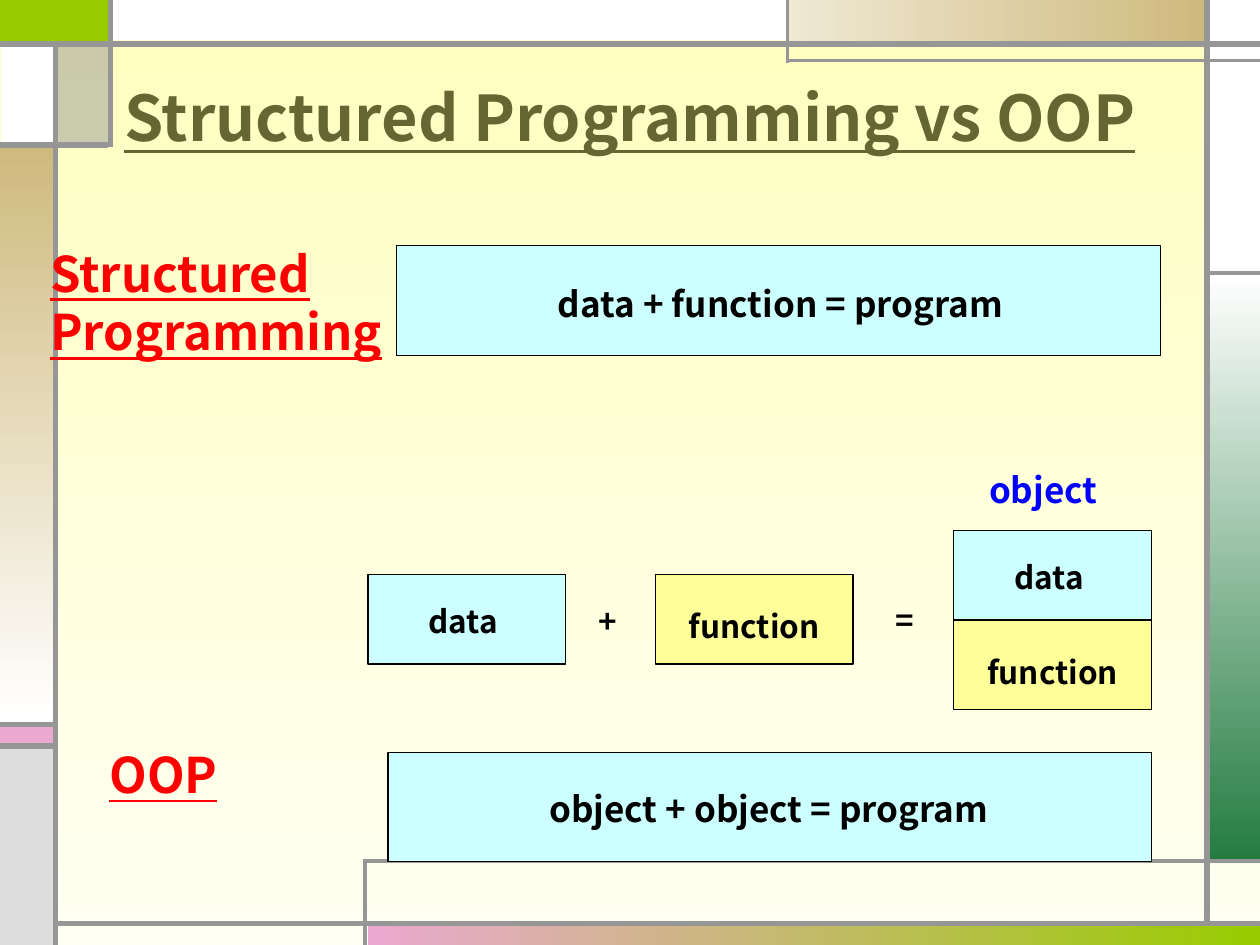
import pptx
import pptx.dml.color
import pptx.enum.shapes
import pptx.enum.text
import pptx.oxml
import pptx.oxml.ns
import pptx.util

Inches = pptx.util.Inches
Pt = pptx.util.Pt
ALIGN = pptx.enum.text.PP_ALIGN
ANCHOR = pptx.enum.text.MSO_ANCHOR
AUTO_SIZE = pptx.enum.text.MSO_AUTO_SIZE

COLORS = {
    "green": "99CC00", "forest": "247C41", "pink": "EBA9D0", "sand": "CFBA7D",
    "pale_sand": "EFE8D3", "white": "FFFFFF", "silver": "DDDDDD", "gray": "969696",
    "cream": "FFFFBF", "ivory": "FFFFF2", "olive": "666633", "red": "FF0000",
    "blue": "0000FF", "black": "000000", "cyan": "CCFFFF", "yellow": "FFFF99",
}
FONT = "Noto Sans CJK KR"
TITLE = {"size": Pt(36), "bold": True, "underline": True}
HEADING = {"size": Pt(28), "bold": True, "underline": True}
FORMULA = {"size": Pt(20), "bold": True}
PART = {"size": Pt(18), "bold": True}

# Background panels: left, top, width, height, colour (or two colours and an angle)
PANELS = [
    (0, 0, 0.87, 0.34, "green"),
    (2.92, 7.33, 7.08, 0.17, ("pink", "green", 0)),
    (9.58, 2.17, 0.42, 4.67, ("white", "forest", 90)),
    (0, 5.75, 0.42, 0.17, "pink"),
    (0, 5.93, 0.42, 1.57, "silver"),
    (9.58, 0, 0.42, 2.17, "white"),
    (6.25, 0, 3.33, 0.33, ("pale_sand", "sand", 0)),
    (0.46, 0.33, 0.42, 0.82, "gray"),
    (0, 1.15, 0.42, 4.58, ("sand", "white", 90)),
    (0.01, 0.33, 0.42, 0.82, "white"),
    (0.86, 0, 5.39, 0.32, "white"),
]
# Grid lines by weight: start x, start y, end x, end y
GRID_LINES = {
    3: [
        (0.44, 7.5, 0.44, 0.33), (0.44, 7.33, 10.01, 7.33), (9.58, 7.33, 9.58, 0),
        (0, 0.35, 10, 0.35), (0.88, 0, 0.88, 1.17), (0.86, 1.15, 0, 1.15),
        (0.46, 5.75, 0, 5.75), (0.46, 5.92, 0, 5.92),
    ],
    2.25: [
        (10, 0.48, 6.25, 0.48), (6.25, 0.5, 6.25, 0), (9.58, 2.17, 10, 2.17),
        (2.9, 7.5, 2.9, 6.82), (2.89, 6.83, 10, 6.83),
    ],
}


def rgb(name):
    return pptx.dml.color.RGBColor.from_string(COLORS[name])


def set_fill(fill, color):
    if isinstance(color, str):
        fill.solid()
        fill.fore_color.rgb = rgb(color)
        return
    start, end, angle = color
    fill.gradient()
    fill.gradient_angle = (360 - angle) % 360
    for stop, name, position in zip(fill.gradient_stops, (start, end), (0, 1)):
        stop.color.rgb = rgb(name)
        stop.position = position


def add_rectangle(slide, left, top, width, height, color, outline=None):
    shape = slide.shapes.add_shape(
        pptx.enum.shapes.MSO_SHAPE.RECTANGLE,
        Inches(left), Inches(top), Inches(width), Inches(height))
    shape.shadow.inherit = False
    set_fill(shape.fill, color)
    if outline:
        shape.line.color.rgb = rgb(outline)
        shape.line.width = Pt(0.75)
    else:
        shape.line.fill.background()
    return shape


def add_grid_line(slide, start_x, start_y, end_x, end_y, weight):
    line = slide.shapes.add_connector(
        pptx.enum.shapes.MSO_CONNECTOR.STRAIGHT,
        Inches(start_x), Inches(start_y), Inches(end_x), Inches(end_y))
    line.line.color.rgb = rgb("gray")
    line.line.width = Pt(weight)
    properties = line.element.find(pptx.oxml.ns.qn("p:spPr"))
    properties.append(pptx.oxml.parse_xml(
        f"<a:effectLst {pptx.oxml.ns.nsdecls('a')}/>"))


def write_text(text_frame, text, style, color, align):
    text_frame.text = text
    for paragraph in text_frame.paragraphs:
        paragraph.alignment = align
        font = paragraph.runs[0].font
        for attribute, value in {"name": FONT, **style}.items():
            setattr(font, attribute, value)
        font.color.rgb = rgb(color)


def add_text(slide, left, top, width, height, text, style, color="black",
             align=ALIGN.LEFT, wrap=True, margin=0.1):
    box = slide.shapes.add_textbox(
        Inches(left), Inches(top), Inches(width), Inches(height))
    frame = box.text_frame
    frame.word_wrap = wrap
    frame.auto_size = AUTO_SIZE.SHAPE_TO_FIT_TEXT
    frame.margin_left = Inches(margin)
    write_text(frame, text, style, color, align)


def add_formula(slide, left, top, text, text_top):
    add_rectangle(slide, left, top, 6.06, 0.87, "cyan", "black")
    add_text(slide, left + 1.18, text_top, 4.33, 0.44, text, FORMULA)


def add_part(slide, left, top, text, color, offset):
    add_rectangle(slide, left, top, 1.57, 0.71, color, "black")
    add_text(slide, left, top + offset, 1.57, 0.4, text, PART, align=ALIGN.CENTER)


def add_backdrop(slide):
    set_fill(slide.background.fill, ("cream", "ivory", 90))
    for panel in PANELS:
        shape = add_rectangle(slide, *panel)
        if panel[-1] == "gray":
            # Half transparent panel beside the title
            color = shape.element.spPr.find(".//" + pptx.oxml.ns.qn("a:srgbClr"))
            color.append(pptx.oxml.parse_xml(
                f"<a:alpha {pptx.oxml.ns.nsdecls('a')} val=\"50000\"/>"))
    for weight, lines in GRID_LINES.items():
        for line in lines:
            add_grid_line(slide, *line, weight)


def add_title(slide, text):
    title = slide.shapes.title
    position = {"left": 0.5, "top": 0.3, "width": 9, "height": 1.25}
    for attribute, value in position.items():
        setattr(title, attribute, Inches(value))
    title.text_frame.vertical_anchor = ANCHOR.MIDDLE
    title.text_frame.auto_size = AUTO_SIZE.NONE
    write_text(title.text_frame, text, TITLE, "olive", ALIGN.CENTER)
    # Bring the title in front of the backdrop
    title.element.getparent().append(title.element)


def main():
    presentation = pptx.Presentation()
    presentation.slide_width = Inches(10)
    presentation.slide_height = Inches(7.5)
    slide = presentation.slides.add_slide(presentation.slide_layouts[5])

    add_backdrop(slide)
    add_title(slide, "Structured Programming vs OOP")

    # Section headings
    add_text(slide, 0.77, 5.86, 1.06, 0.57, "OOP", HEADING, "red", wrap=False)
    add_text(slide, 0.3, 1.88, 2.9, 1.04, "Structured\nProgramming", HEADING, "red",
             wrap=False)

    # Program formulas
    add_formula(slide, 3.15, 1.95, "data + function = program", 2.19)
    add_formula(slide, 3.08, 5.97, "object + object = program", 6.2)

    # Data and function combine into an object
    add_part(slide, 7.57, 4.21, "data ", "cyan", 0.17)
    add_part(slide, 7.57, 4.92, "function", "yellow", 0.21)
    add_part(slide, 2.92, 4.56, "data ", "cyan", 0.17)
    add_part(slide, 5.2, 4.56, "function", "yellow", 0.21)
    add_text(slide, 4.65, 4.73, 0.55, 0.4, "+", PART)
    add_text(slide, 7.01, 4.72, 0.55, 0.4, "=", PART)
    add_text(slide, 7.57, 3.67, 1.57, 0.44, "object", FORMULA, "blue", margin=0.28)

    presentation.save("out.pptx")


if __name__ == "__main__":
    main()
